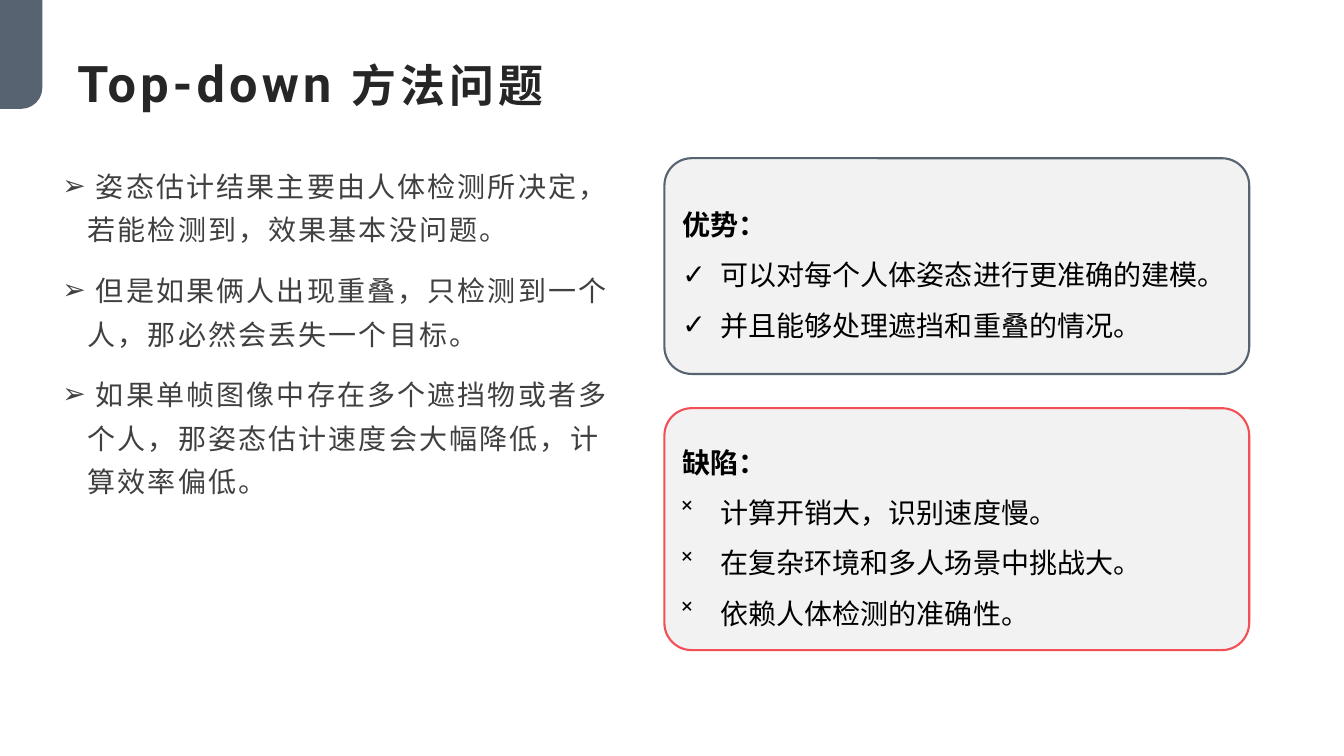
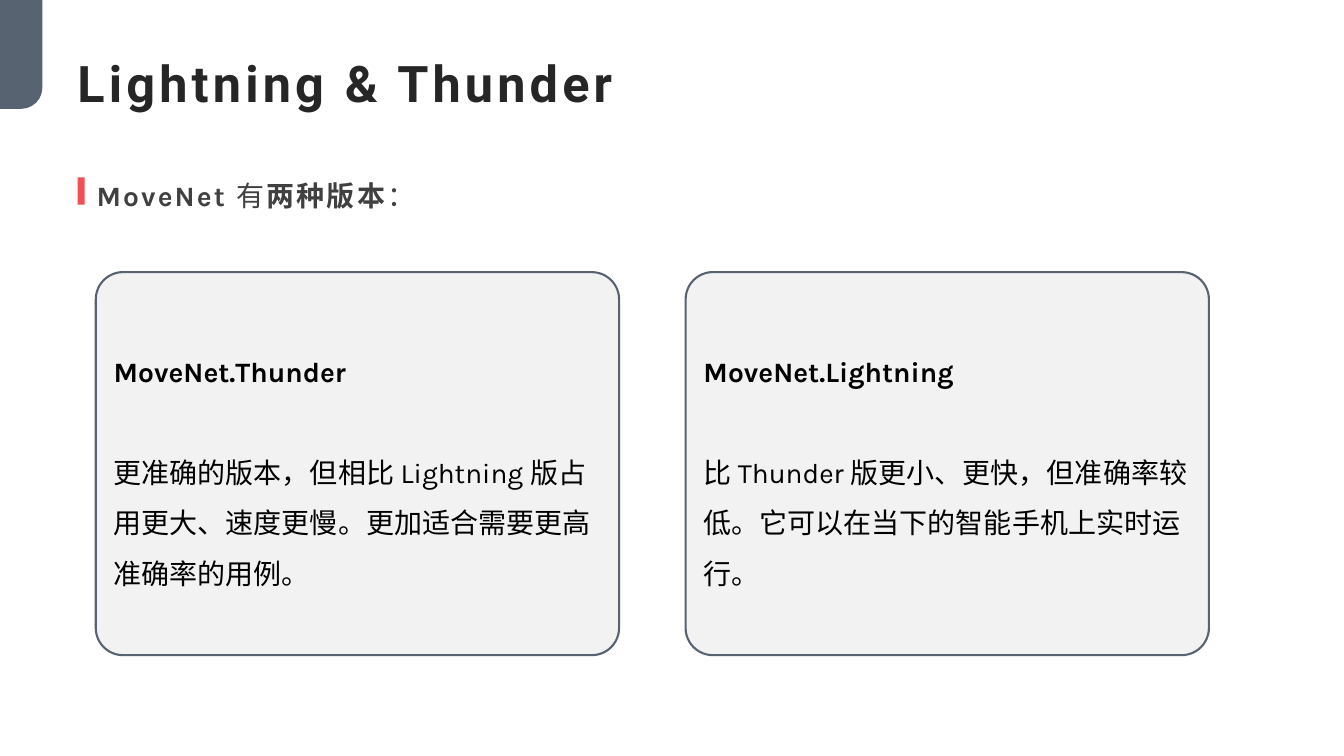
from lxml.etree import SubElement
from pptx import Presentation
from pptx.dml.color import RGBColor
from pptx.enum.shapes import MSO_SHAPE
from pptx.enum.text import MSO_ANCHOR, PP_ALIGN
from pptx.oxml.ns import qn
from pptx.util import Pt

SCALE = 9144  # EMU in one px, 100 px to the inch
COLORS = {
    "slate": "586371",
    "red": "F34F56",
    "panel": "F2F2F2",
    "title": "262626",
    "body": "404040",
    "black": "000000",
}


def px(count):
    return count * SCALE


def rgb(name):
    return RGBColor.from_string(COLORS[name])


class Deck:
    RADIUS = 27

    def __init__(self):
        self.prs = Presentation()
        self.prs.slide_width, self.prs.slide_height = px(1333), px(750)
        self.slide = None

    def page(self, *title):
        """Start a slide with its corner tab and title runs."""
        self.slide = self.prs.slides.add_slide(self.prs.slide_layouts[6])
        tab = self.shape(MSO_SHAPE.ROUND_1_RECTANGLE, (-33, 33, 108, 42), "slate")
        tab.adjustments[0] = 0.5
        tab.rotation = 90
        frame = self.label((67, 43, 1200, 74), MSO_ANCHOR.BOTTOM)
        self.para(frame.paragraphs[0], title, "title", "Roboto", 3)

    def shape(self, kind, box, fill, line=None):
        item = self.slide.shapes.add_shape(kind, *map(px, box))
        item.shadow.inherit = False
        item.fill.solid()
        item.fill.fore_color.rgb = rgb(fill)
        if line:
            item.line.color.rgb = rgb(line)
            item.line.width = Pt(1.5)
        else:
            item.line.fill.background()
        return item

    def label(self, box, anchor=MSO_ANCHOR.TOP):
        frame = self.slide.shapes.add_textbox(*map(px, box)).text_frame
        frame.word_wrap = True
        frame.vertical_anchor = anchor
        return frame

    def bullet(self, para, mark, indent):
        props = para._p.get_or_add_pPr()
        props.set("marL", str(px(indent)))
        props.set("indent", str(-px(indent)))
        SubElement(props, qn("a:buFont")).set("typeface", "Arial")
        SubElement(props, qn("a:buChar")).set("char", mark)

    def para(self, para, runs, color, face="Karla", track=0):
        """Add runs, each given as (text, size, bold)."""
        para.alignment = PP_ALIGN.LEFT
        for text, size, bold in runs:
            run = para.add_run()
            run.text = text
            font = run.font
            font.name, font.size, font.bold = face, Pt(size), bold
            font.color.rgb = rgb(color)
            props = run._r.get_or_add_rPr()
            props.set("lang", "zh-CN")
            if track:
                props.set("spc", str(int(track * 100)))

    def body(self, box, paras, mark=None):
        frame = self.label(box)
        for num, runs in enumerate(paras):
            para = frame.add_paragraph() if num else frame.paragraphs[0]
            if mark:
                self.bullet(para, mark, 25)
            para.line_spacing = 1.3
            if num:
                para.space_before = Pt(12)
            self.para(para, runs, "body", track=1.5)

    def card(self, box, line, head, texts, mark=None, gap=0):
        """Rounded panel: bold head, then texts, gap points below the head."""
        item = self.shape(MSO_SHAPE.ROUNDED_RECTANGLE, box, "panel", line)
        item.adjustments[0] = self.RADIUS / min(box[2:])
        frame = item.text_frame
        frame.word_wrap = True
        frame.vertical_anchor = MSO_ANCHOR.MIDDLE
        for num, text in enumerate([head, *texts]):
            para = frame.add_paragraph() if num else frame.paragraphs[0]
            if num and mark:
                self.bullet(para, mark, 38)
            para.line_spacing = 1.5
            if num == 1 and gap:
                para.space_before = Pt(gap)
            self.para(para, [(text, 20, num == 0)], "black")

    def bar(self, box):
        self.shape(MSO_SHAPE.RECTANGLE, box, "red")


def issues(deck):
    deck.page(("Top-down", 36, True), (" 方法问题", 32, True))
    points = [
        " 姿态估计结果主要由人体检测所决定，若能检测到，效果基本没问题。",
        " 但是如果俩人出现重叠，只检测到一个人，那必然会丢失一个目标。",
        " 如果单帧图像中存在多个遮挡物或者多个人，那姿态估计速度会大幅降低，计算效率偏低。",
    ]
    deck.body((52, 153, 562, 467), [[(text, 20, False)] for text in points], "➢")
    deck.card((659, 157, 580, 214), "slate", "优势：", [
        "可以对每个人体姿态进行更准确的建模。",
        "并且能够处理遮挡和重叠的情况。",
    ], "✓")
    deck.card((659, 405, 580, 240), "red", "缺陷：", [
        "计算开销大，识别速度慢。",
        "在复杂环境和多人场景中挑战大。",
        "依赖人体检测的准确性。",
    ], "˟")


def models(deck):
    deck.page(("Lightning & Thunder", 36, True))
    deck.body((86, 162, 1164, 65), [[
        ("MoveNet ", 20, True), ("有", 20, False),
        ("两种版本", 20, True), ("：", 20, False),
    ]])
    deck.bar((77, 176, 7, 27))
    cards = [
        ("MoveNet.Thunder",
         "更准确的版本，但相比 Lightning 版占用更大、速度更慢。更加适合需要更高准确率的用例。"),
        ("MoveNet.Lightning",
         "比 Thunder 版更小、更快，但准确率较低。它可以在当下的智能手机上实时运行。"),
    ]
    for col, (head, text) in enumerate(cards):
        deck.card((95 + col * 585, 270, 519, 380), "slate", head, [text], gap=36)


def main():
    deck = Deck()
    issues(deck)
    models(deck)
    deck.prs.save("out.pptx")


if __name__ == "__main__":
    main()
